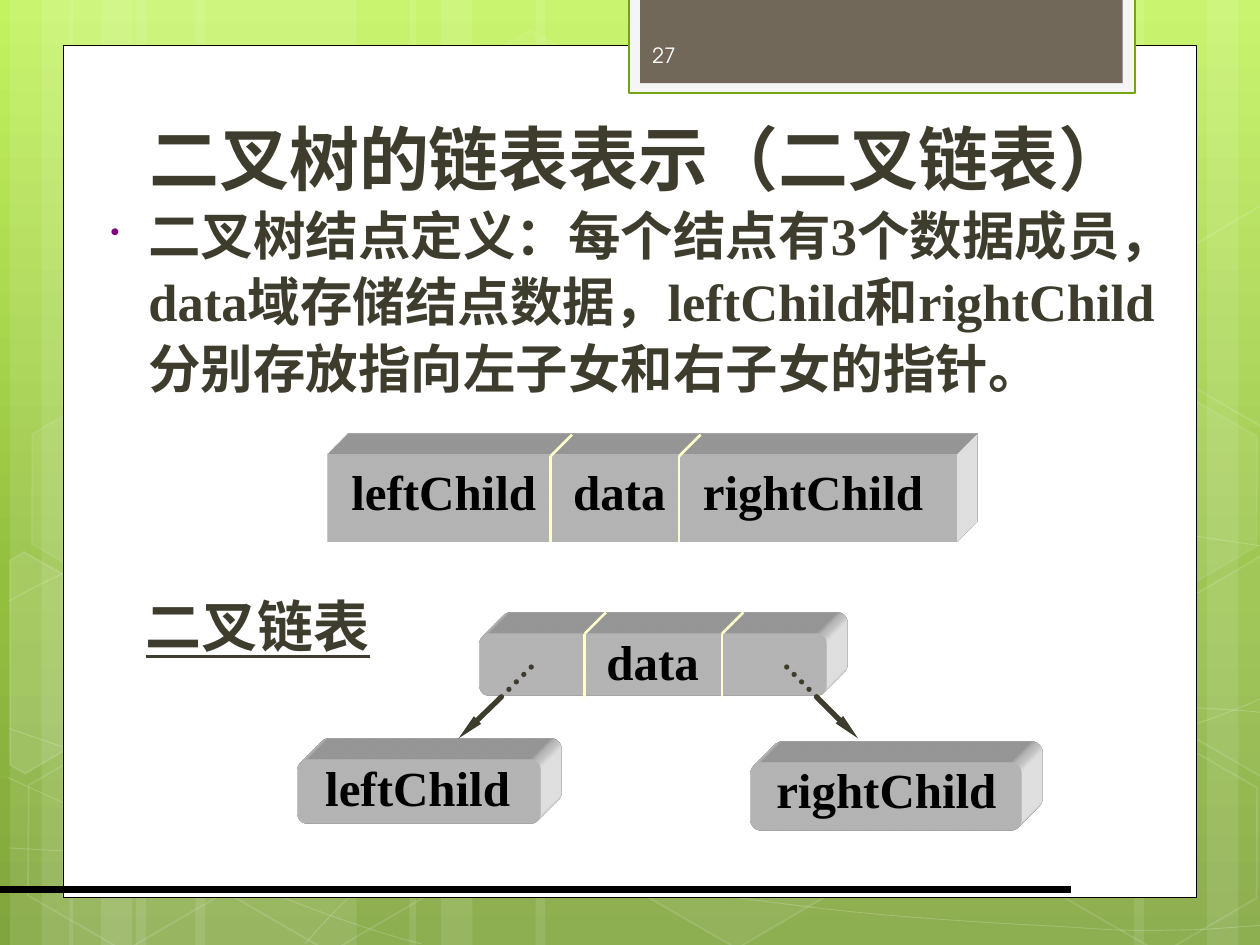
import copy
import math
import pptx
import pptx.dml.color
import pptx.enum.dml
import pptx.enum.shapes
import pptx.enum.text
import pptx.util
from lxml import etree
from pptx.oxml.ns import qn
from pptx.util import Inches

SHAPE = pptx.enum.shapes.MSO_SHAPE
ALIGN = pptx.enum.text.PP_ALIGN
ANCHOR = pptx.enum.text.MSO_ANCHOR
DASH = pptx.enum.dml.MSO_LINE
TITLE_FONT, BODY_FONT = "TeX Gyre Adventor", "Times New Roman"
INK, CREAM, WHITE, BLACK = "3E3D2D", "FFFFCC", "FFFFFF", "000000"


def rgb(value):
    return pptx.dml.color.RGBColor.from_string(value)


def child(parent, tag, **attrs):
    el = etree.SubElement(parent, qn(tag))
    for key, value in attrs.items():
        el.set(key, str(value))
    return el


def paint(fill, color, alpha=100):
    """Solid fill with an opacity in percent; no colour means no fill."""
    if color is None:
        fill.background()
        return
    fill.solid()
    fill.fore_color.rgb = rgb(color)
    if alpha < 100:
        for clr in fill._xPr.iter(qn("a:srgbClr")):
            child(clr, "a:alpha", val=alpha * 1000)


def turn(points, center, degrees):
    a = math.radians(degrees)
    cx, cy = center
    return [(cx + (x - cx) * math.cos(a) - (y - cy) * math.sin(a),
             cy + (x - cx) * math.sin(a) + (y - cy) * math.cos(a)) for x, y in points]


def add_text(tf, text, size=28, font=BODY_FONT, color=BLACK, bold=True,
             underline=False, align=ALIGN.CENTER, anchor=ANCHOR.MIDDLE, wrap=False):
    tf.word_wrap = wrap
    tf.vertical_anchor = anchor
    p = tf.paragraphs[0]
    p.alignment = align
    r = p.add_run()
    r.text = text
    f = r.font
    f.name, f.size, f.bold, f.underline = font, pptx.util.Pt(size), bold, underline
    f.color.rgb = rgb(color)
    return p


class Deck:
    def __init__(self, width, height):
        self.prs = pptx.Presentation()
        self.prs.slide_width, self.prs.slide_height = Inches(width), Inches(height)
        self.s = self.prs.slides.add_slide(self.prs.slide_layouts[6])

    def background(self, stops):
        fill = self.s.background.fill
        fill.gradient()
        fill.gradient_angle = 270
        gs = fill.gradient_stops[0]._gs
        gs.addnext(copy.deepcopy(gs))
        for stop, (position, color) in zip(fill.gradient_stops, stops):
            stop.position = position
            stop.color.rgb = rgb(color)

    def style(self, sp, fill, alpha, line, width, line_alpha):
        sp.shadow.inherit = False
        paint(sp.fill, fill, alpha)
        paint(sp.line.fill, line, line_alpha)
        if line:
            sp.line.width = pptx.util.Pt(width)
        return sp

    def shape(self, kind, x, y, w, h, fill=None, alpha=100, line=None, width=1,
              line_alpha=100, adj=None, rot=0):
        sp = self.s.shapes.add_shape(kind, Inches(x), Inches(y), Inches(w), Inches(h))
        if adj is not None:
            sp.adjustments[0] = adj
        sp.rotation = rot
        return self.style(sp, fill, alpha, line, width, line_alpha)

    def freeform(self, points, close):
        pts = [(Inches(x), Inches(y)) for x, y in points]
        fb = self.s.shapes.build_freeform(*pts[0])
        fb.add_line_segments(pts[1:], close=close)
        return fb.convert_to_shape()

    def cut_hexagon(self, points, center, alpha):
        """Hexagon trimmed at the slide edge, in a frame turned by 30 degrees."""
        sp = self.freeform(turn(points, center, -30), True)
        mid = (sp.left + sp.width / 2, sp.top + sp.height / 2)
        (x, y), = turn([mid], (Inches(center[0]), Inches(center[1])), 30)
        sp.left, sp.top = int(x - sp.width / 2), int(y - sp.height / 2)
        sp.rotation = 30
        self.style(sp, WHITE if alpha else None, alpha, WHITE, 1, 12)

    def curve(self, points):
        """Joined cubic segments: every three line points become one Bezier."""
        sp = self.freeform(points, False)
        lines = list(sp._element.iter(qn("a:lnTo")))
        for i in range(0, len(lines), 3):
            bezier = etree.Element(qn("a:cubicBezTo"))
            lines[i].addprevious(bezier)
            for ln in lines[i:i + 3]:
                bezier.append(ln[0])
                ln.getparent().remove(ln)
        self.style(sp, None, 100, WHITE, 0.5, 20)

    def line(self, x1, y1, x2, y2, color, width, dash=None, arrow=False):
        c = self.s.shapes.add_connector(pptx.enum.shapes.MSO_CONNECTOR.STRAIGHT,
                                        Inches(x1), Inches(y1), Inches(x2), Inches(y2))
        c.line.color.rgb = rgb(color)
        c.line.width = pptx.util.Pt(width)
        if dash:
            c.line.dash_style = dash
            c.line._get_or_add_ln().set("cap", "rnd")
        if arrow:
            child(c.line._get_or_add_ln(), "a:tailEnd", type="triangle", w="sm", len="lg")
        child(c._element.spPr, "a:effectLst")

    def text(self, x, y, w, h, text, **fmt):
        sp = self.s.shapes.add_textbox(Inches(x), Inches(y), Inches(w), Inches(h))
        return add_text(sp.text_frame, text, **fmt)

    def block(self, x, y, w, h, adj=None):
        """White bar extruded to the upper right."""
        kind = SHAPE.ROUNDED_RECTANGLE if adj else SHAPE.RECTANGLE
        spPr = self.shape(kind, x, y, w, h, WHITE, adj=adj)._element.spPr
        scene = child(spPr, "a:scene3d")
        child(scene, "a:camera", prst="legacyObliqueTopRight")
        child(scene, "a:lightRig", rig="legacyFlat3", dir="b")
        solid = child(spPr, "a:sp3d", extrusionH=430200, prstMaterial="legacyMatte")
        for bevel in ("a:bevelT", "a:bevelB"):
            child(solid, bevel, w=13500, h=13500, prst="angle")
        child(child(solid, "a:extrusionClr"), "a:srgbClr", val=WHITE)

    def divider(self, x, top, bottom):
        self.line(x, bottom, x, top, CREAM, 1.5)
        self.line(x, top, x + 0.17, top - 0.17, CREAM, 1.5)


def main():
    d = Deck(10, 7.5)

    # Background: gradient, light bands, curves and hexagons
    d.background([(0, "C3F35F"), (0.62, "93BF3F"), (1, "81A53E")])
    for x, w in [(1.08, 1.75), (0.08, 0.5), (0.33, 0.83), (1.55, 1.75), (0.55, 0.5), (0.8, 0.83),
                 (7.33, 1.75), (9.58, 0.5), (9, 0.83), (4.25, 3.08), (3.25, 0.5), (3.5, 0.83)]:
        d.shape(SHAPE.RECTANGLE, x, 0, w, 7.5, WHITE, 10)
    for points in [
        [(0.07, 6.73), (0.61, 6.76), (1.15, 6.79), (1.9, 6.78), (2.65, 6.77), (3.58, 6.75), (4.58, 6.65),
         (5.58, 6.55), (7, 6.36), (7.92, 6.17), (8.83, 5.98), (9.77, 5.68), (10.07, 5.51)],
        [(0.07, 4.77), (0.36, 4.61), (0.65, 4.46), (1.21, 4.31), (1.78, 4.16), (2.59, 3.94), (3.47, 3.87),
         (4.36, 3.8), (5.44, 3.79), (6.54, 3.87), (7.64, 3.95), (9.47, 4.26), (10.07, 4.34)],
        [(0.06, 6.17), (1.27, 6.72), (2.47, 7.27), (3.34, 7.49)],
        [(0.07, 5.78), (0.38, 5.89), (0.7, 6), (1.28, 6.16), (1.86, 6.31), (2.73, 6.56), (3.57, 6.73),
         (4.4, 6.9), (5.45, 7.08), (6.28, 7.18), (7.11, 7.29), (8, 7.33), (8.53, 7.36),
         (9.05, 7.4), (9.19, 7.38), (9.45, 7.38), (9.71, 7.37), (9.89, 7.35), (10.07, 7.34)],
        [(2.42, 7.49), (2.6, 7.29), (2.78, 7.09), (3.02, 6.91), (3.26, 6.73), (3.6, 6.53), (3.88, 6.39),
         (4.16, 6.25), (4.33, 6.19), (4.7, 6.09), (5.06, 5.99), (5.73, 5.85), (6.08, 5.78),
         (6.44, 5.71), (6.49, 5.71), (6.8, 5.69), (7.11, 5.66), (7.6, 5.63), (7.94, 5.62),
         (8.29, 5.61), (8.86, 5.62), (8.86, 5.62), (9.08, 5.62), (9.31, 5.62), (9.53, 5.62),
         (9.71, 5.63), (9.88, 5.64), (9.97, 5.65), (10.06, 5.66), (10.03, 5.65), (10.06, 5.66)],
    ]:
        d.curve(points)
    for x, y, alpha, line_alpha in [(3.34, 0.36, 4, 8), (4.97, 5.89, 6, 12), (0.11, 5.91, 0, 12),
                                    (0.14, 3.12, 7, 8), (1.74, 5.92, 0, 12), (8.34, 5.93, 0, 12),
                                    (8.34, 3.14, 7, 8)]:
        d.shape(SHAPE.HEXAGON, x, y, 1.75, 1.52, WHITE if alpha else None, alpha,
                WHITE, 1, line_alpha, adj=0.285, rot=30)
    d.cut_hexagon([(0.08, 4.45), (0.19, 4.38), (0.96, 4.82), (0.95, 5.7), (0.2, 6.14), (0.08, 6.07)],
                  (0.36, 5.35), 10)
    for y, alpha in [(4.41, 4), (1.63, 0)]:
        d.cut_hexagon([(9.26, y + 0.44), (10.01, y), (10.09, y + 0.05), (10.09, y + 1.72),
                       (10.02, y + 1.76), (9.26, y + 1.32)], (9.85, y + 0.79), alpha)

    # Panel, page tab and bottom rule
    d.shape(SHAPE.RECTANGLE, 0.5, 0.36, 9, 6.76, WHITE, line=BLACK, width=0.5)
    d.shape(SHAPE.RECTANGLE, 4.99, -0.02, 4.02, 0.76, "F5F5F5", line="74A510", width=1.25)
    d.shape(SHAPE.RECTANGLE, 5.08, -0.02, 3.83, 0.68, "71685A")
    d.line(0, 7.06, 8.5, 7.06, BLACK, 4.5)

    # Title, definition and page number
    d.text(0.57, 0.53, 9, 1.1, "二叉树的链表表示（二叉链表）", size=40, font=TITLE_FONT,
           color=INK, anchor=ANCHOR.BOTTOM, wrap=True)
    p = d.text(0.7, 1.54, 8.86, 1.73,
               "二叉树结点定义：每个结点有3个数据成员，data域存储结点数据，"
               "leftChild和rightChild分别存放指向左子女和右子女的指针。",
               size=30, color=INK, align=ALIGN.LEFT, anchor=ANCHOR.TOP, wrap=True)
    p.line_spacing = 1.05
    pPr = p._p.get_or_add_pPr()
    pPr.set("marL", str(Inches(0.38)))
    pPr.set("indent", str(Inches(-0.3)))
    child(child(pPr, "a:buClr"), "a:srgbClr", val="800080")
    child(pPr, "a:buSzPct", val=50000)
    child(pPr, "a:buChar", char="•")
    d.text(5.08, 0.24, 1.46, 0.4, "27", size=12, font=TITLE_FONT, color="FEFEFE",
           bold=False, align=ALIGN.LEFT, wrap=True)

    # Node structure: three fields on tab stops
    d.block(2.6, 3.61, 4.99, 0.69)
    p = d.text(2.69, 3.61, 4.74, 0.57, "leftChild\tdata\trightChild", align=ALIGN.LEFT, wrap=True)
    tabs = child(p._p.get_or_add_pPr(), "a:tabLst")
    for position in (1.76, 2.79):
        child(tabs, "a:tab", pos=Inches(position), algn="l")
    for x in (4.37, 5.39):
        d.divider(x, 3.62, 4.3)

    # Linked nodes
    for x, y, w, h in [(3.81, 5.03, 2.75, 0.49), (5.96, 6.05, 2.15, 0.54), (2.36, 6.03, 1.93, 0.51)]:
        d.block(x, y, w, h, adj=0.167)
    for x, y, w, label in [(4.71, 4.96, 0.94, "data"), (2.48, 5.96, 1.67, "leftChild"),
                           (6.06, 5.98, 1.95, "rightChild")]:
        d.text(x, y, w, 0.57, label)
    for x in (4.64, 5.73):
        d.divider(x, 5.03, 5.53)
    for start, edge, end in [(4.23, 3.98, 3.64), (6.23, 6.48, 6.81)]:
        d.line(edge, 5.53, start, 5.28, INK, 3, dash=DASH.ROUND_DOT)
        d.line(edge, 5.53, end, 5.86, INK, 3, arrow=True)
    d.text(1.05, 4.65, 1.99, 0.63, "二叉链表", size=32, color=INK, underline=True)

    d.prs.save("out.pptx")


if __name__ == "__main__":
    main()
